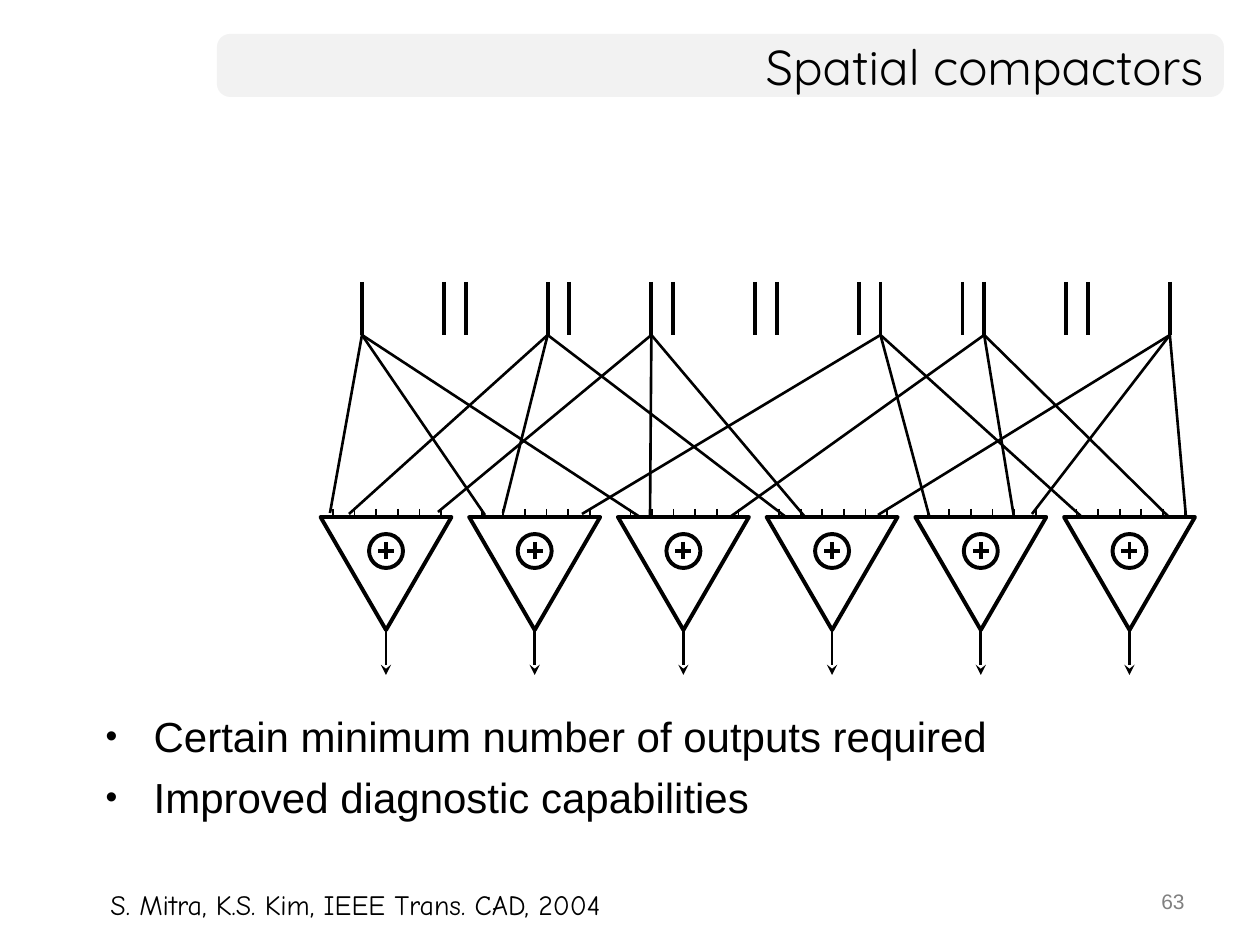
from lxml.etree import SubElement
from pptx import Presentation
from pptx.dml.color import RGBColor
from pptx.enum.shapes import MSO_CONNECTOR, MSO_SHAPE
from pptx.enum.text import MSO_ANCHOR, MSO_AUTO_SIZE, PP_ALIGN
from pptx.oxml.ns import qn
from pptx.util import Emu, Pt

TITLE = "Spatial compactors"
POINTS = [
    "Certain minimum number of outputs required",
    "Improved diagnostic capabilities",
]
CITATION = "S. Mitra, K.S. Kim, IEEE Trans. CAD, 2004"
PAGE_NUMBER = "63"

# (scan chain, side: 0 left or 1 right) -> compactor inputs it feeds
FANOUTS = {
    (0, 0): [(330, 513), (485, 515), (640, 517)],
    (1, 1): [(349, 514), (503, 513), (786, 517)],
    (2, 1): [(438, 512), (650, 519), (806, 518)],
    (5, 0): [(582, 514), (930, 519), (1082, 517)],
    (6, 0): [(730, 517), (1014, 517), (1171, 519)],
    (7, 1): [(878, 515), (1032, 514), (1186, 517)],
}

BLACK = RGBColor(0x00, 0x00, 0x00)
WHITE = RGBColor(0xFF, 0xFF, 0xFF)
GREY = RGBColor(0x80, 0x80, 0x80)
BANNER = RGBColor(0xF2, 0xF2, 0xF2)

CHAINS, CHAIN_LEFT, CHAIN_PITCH, CHAIN_WIDTH = 8, 362, 103.7, 82
CHAIN_TOP, CHAIN_BOTTOM = 282, 335
COMPACTORS, COMPACTOR_CENTER, COMPACTOR_PITCH = 6, 386, 148.7
INPUTS, INPUT_PITCH = 6, 21.6


def px(length):
    return Emu(round(length * 914400 / 126))


def place(shape, left, top, width, height):
    shape.left, shape.top = px(left), px(top)
    shape.width, shape.height = px(width), px(height)


def style(paragraph, font_name, size, color=BLACK):
    font = paragraph.font
    font.name, font.size, font.color.rgb = font_name, Pt(size), color


def add_line(shapes, start, end, weight, arrow=False):
    line = shapes.add_connector(MSO_CONNECTOR.STRAIGHT, *map(px, (*start, *end)))
    line.line.color.rgb = BLACK
    line.line.width = Pt(weight)
    if arrow:
        SubElement(line.line._get_or_add_ln(), qn("a:tailEnd"), type="stealth")
    SubElement(line._element.spPr, qn("a:effectLst"))


def add_outline(shapes, preset, left, top, width, height):
    shape = shapes.add_shape(preset, *map(px, (left, top, width, height)))
    shape.shadow.inherit = False
    shape.fill.solid()
    shape.fill.fore_color.rgb = WHITE
    shape.line.color.rgb = BLACK
    shape.line.width = Pt(2.25)
    return shape


def add_label(slide, text, box, font_name, size, color=BLACK):
    label = slide.shapes.add_textbox(*map(px, box))
    label.text_frame.text = text
    style(label.text_frame.paragraphs[0], font_name, size, color)
    return label.text_frame


def add_bullet(paragraph):
    properties = paragraph._p.get_or_add_pPr()
    properties.set("marL", str(px(48)))
    properties.set("indent", str(-px(48)))
    color = SubElement(properties, qn("a:buClr"))
    SubElement(color, qn("a:srgbClr"), val=str(BLACK))
    SubElement(properties, qn("a:buSzPct"), val="80000")
    SubElement(properties, qn("a:buFont"), typeface="Arial")
    SubElement(properties, qn("a:buChar"), char="•")


def add_title(slide):
    banner = slide.shapes.add_shape(
        MSO_SHAPE.ROUNDED_RECTANGLE, *map(px, (217, 34, 1007, 63)))
    banner.adjustments[0] = 0.21
    banner.shadow.inherit = False
    banner.fill.solid()
    banner.fill.fore_color.rgb = BANNER
    banner.line.fill.background()
    slide.shapes._spTree.insert(2, banner._element)  # behind the title

    title = slide.shapes.title
    place(title, 217, 34, 999, 63)
    frame = title.text_frame
    frame.text = TITLE
    frame.auto_size = MSO_AUTO_SIZE.NONE
    frame.vertical_anchor = MSO_ANCHOR.MIDDLE
    frame.paragraphs[0].alignment = PP_ALIGN.RIGHT
    style(frame.paragraphs[0], "Quicksand", 28)


def add_points(slide):
    body = slide.placeholders[1]
    place(body, 93, 704, 1071, 132)
    frame = body.text_frame
    frame.text = "\n".join(POINTS)
    frame.auto_size = MSO_AUTO_SIZE.NONE
    for index, paragraph in enumerate(frame.paragraphs):
        add_bullet(paragraph)
        paragraph.space_before = Pt(6 if index else 0)
        style(paragraph, "Arial", 24)


def chain_x(chain, side):
    return CHAIN_LEFT + chain * CHAIN_PITCH + side * CHAIN_WIDTH


def add_compactor(shapes, center):
    """Draw an XOR tree: output arrow, input ticks, triangle and plus sign."""
    add_line(shapes, (center, 593), (center, 675), 1.5, arrow=True)
    for number in range(INPUTS):
        x = center + (number - (INPUTS - 1) / 2) * INPUT_PITCH + 1
        add_line(shapes, (x, 509), (x, 518), 1)
    triangle = add_outline(
        shapes, MSO_SHAPE.ISOSCELES_TRIANGLE, center - 65.5, 517, 131, 113)
    triangle.rotation = 180
    add_outline(shapes, MSO_SHAPE.OVAL, center - 17, 534, 34, 34)
    add_line(shapes, (center, 542), (center, 559), 2.25)
    add_line(shapes, (center - 8, 551), (center + 8, 551), 2.25)


def add_network(slide):
    shapes = slide.shapes.add_group_shape().shapes
    for source, inputs in FANOUTS.items():
        for target in inputs:
            add_line(shapes, (chain_x(*source), CHAIN_BOTTOM), target, 1.5)
    for number in range(COMPACTORS):
        add_compactor(shapes, COMPACTOR_CENTER + number * COMPACTOR_PITCH)
    for chain in range(CHAINS):
        for side in (0, 1):
            x = chain_x(chain, side)
            add_line(shapes, (x, CHAIN_TOP), (x, CHAIN_BOTTOM), 2.25)


def main():
    deck = Presentation()
    deck.slide_width, deck.slide_height = px(1260), px(945)
    slide = deck.slides.add_slide(deck.slide_layouts[1])
    add_title(slide)
    add_points(slide)
    add_network(slide)

    citation = add_label(slide, CITATION, (98, 881, 586, 47), "Comic Neue", 16)
    citation.word_wrap = False
    citation.auto_size = MSO_AUTO_SIZE.SHAPE_TO_FIT_TEXT
    page = add_label(slide, PAGE_NUMBER, (903, 882, 294, 44), "Arial", 12, GREY)
    page.word_wrap = True
    page.paragraphs[0].alignment = PP_ALIGN.RIGHT
    deck.save("out.pptx")


if __name__ == "__main__":
    main()
